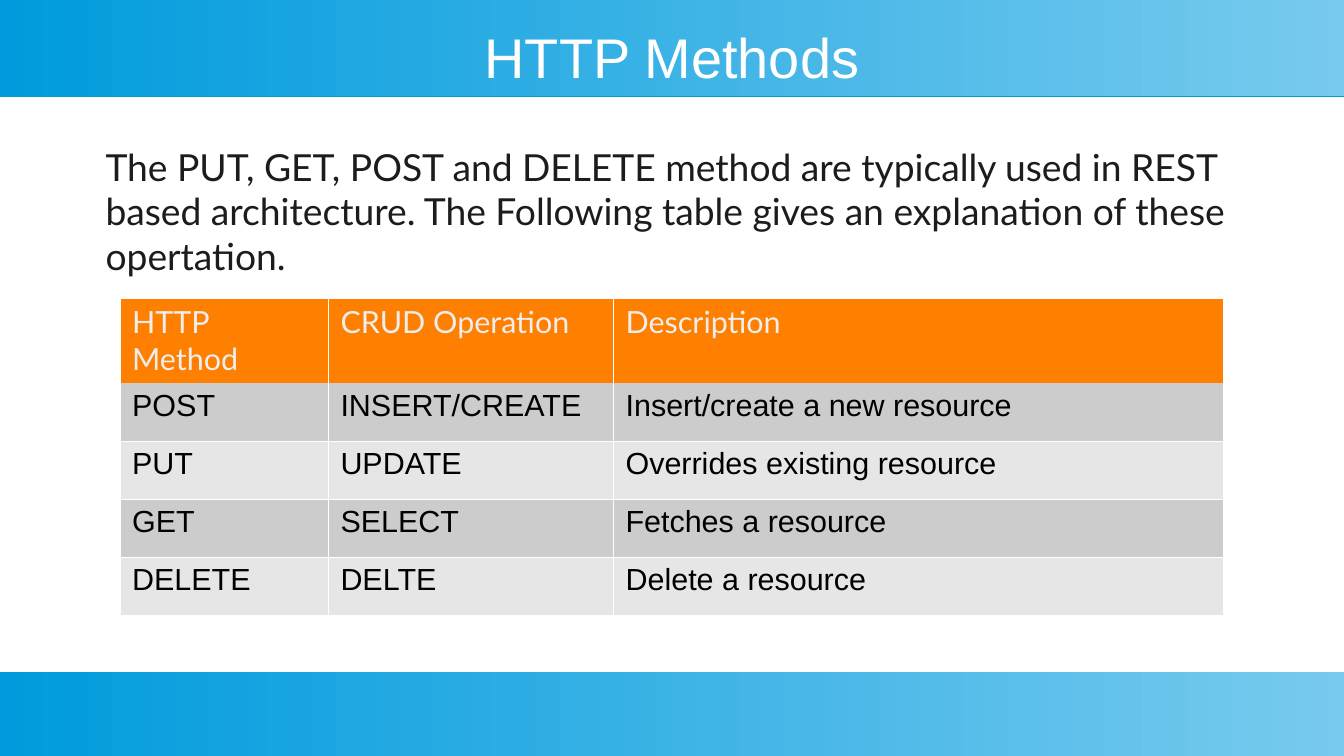
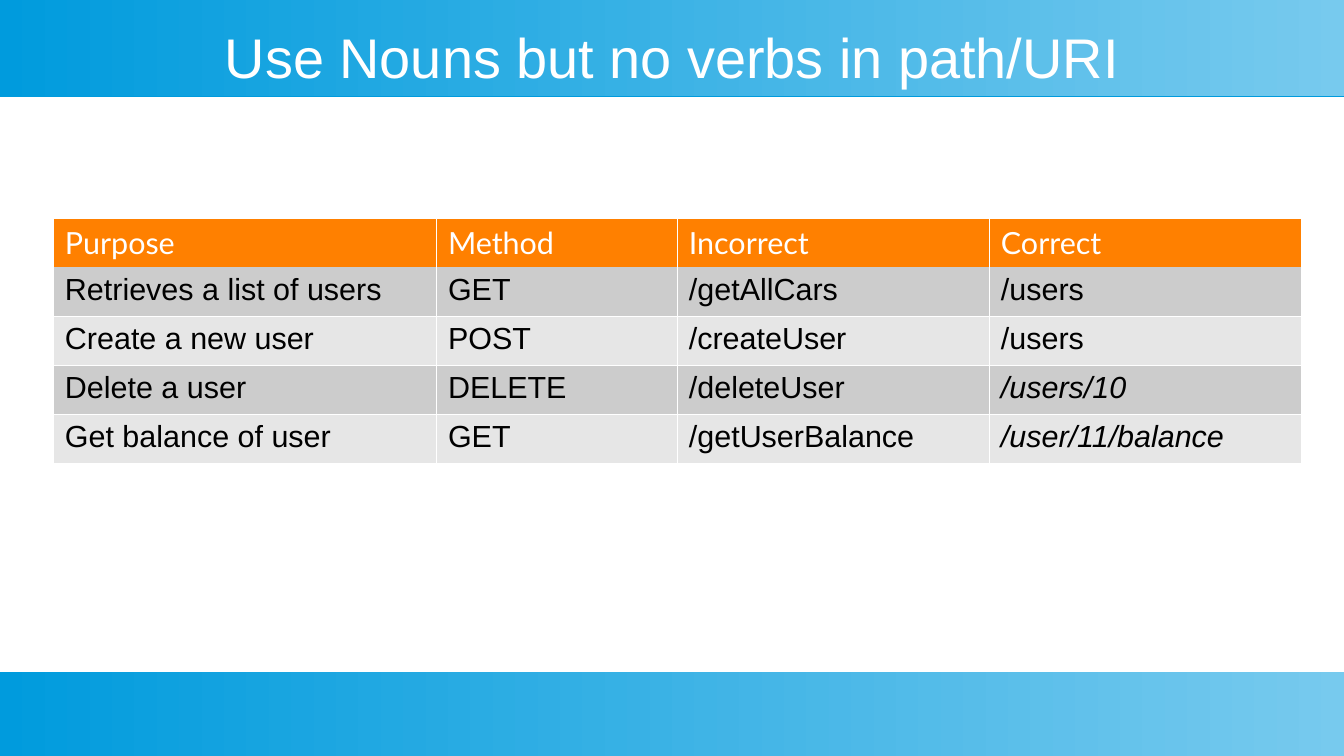
from lxml import etree
from pptx import Presentation
from pptx.dml.color import RGBColor
from pptx.enum.shapes import MSO_SHAPE, PP_PLACEHOLDER
from pptx.enum.text import MSO_ANCHOR, MSO_AUTO_SIZE, PP_ALIGN
from pptx.oxml.ns import qn
from pptx.util import Cm, Pt

RECT = MSO_SHAPE.RECTANGLE
TITLE, BODY = PP_PLACEHOLDER.TITLE, PP_PLACEHOLDER.BODY
MIDDLE, TOP = MSO_ANCHOR.MIDDLE, MSO_ANCHOR.TOP
CENTER, LEFT = PP_ALIGN.CENTER, PP_ALIGN.LEFT
FIXED = MSO_AUTO_SIZE.NONE

COLORS = {
    "deep": "009BDD", "sky": "77CAEE", "white": "FFFFFF", "pale": "EEEEEE",
    "ink": "1C1C1C", "black": "000000", "orange": "FF8000",
    "dark": "CCCCCC", "light": "E6E6E6",
}
WIDE, HIGH = 28, 15.75
SLIDES = [
    {
        "title": "HTTP Methods",
        "body": "The PUT, GET, POST and DELETE method are typically used in REST "
                "based architecture. The Following table gives an explanation of "
                "these opertation.",
        "at": (2.5, 6.2), "cols": [4.34, 5.94, 12.7],
        "head": 1.77, "row": 1.21, "color": "pale",
        "cells": [
            ["HTTP Method", "CRUD Operation", "Description"],
            ["POST", "INSERT/CREATE", "Insert/create a new resource"],
            ["PUT", "UPDATE", "Overrides existing resource"],
            ["GET", "SELECT", "Fetches a resource"],
            ["DELETE", "DELTE", "Delete a resource"],
        ],
    },
    {
        "title": "Use Nouns but no verbs in path/URI",
        "body": None,
        "at": (1.1, 4.55), "cols": [7.98, 5.02, 6.5, 6.5],
        "head": 1, "row": 1.02, "color": "white",
        "cells": [
            ["Purpose", "Method", "Incorrect", "Correct"],
            ["Retrieves a list of users", "GET", "/getAllCars", "/users"],
            ["Create a new user", "POST", "/createUser", "/users"],
            ["Delete a user", "DELETE", "/deleteUser", "/users/10"],
            ["Get balance of user", "GET", "/getUserBalance", "/user/11/balance"],
        ],
    },
]


def tint(name):
    return RGBColor.from_string(COLORS[name])


def write(frame, text, size=18, font="Arial", color="black", align=LEFT,
          italic=False):
    """Fill a text frame with one formatted paragraph and return it."""
    para = frame.paragraphs[0]
    para.alignment = align
    run = para.add_run()
    run.text = text
    run.font.size = Pt(size)
    run.font.name = font
    run.font.bold = False
    run.font.italic = italic
    run.font.color.rgb = tint(color)
    return para


prs = Presentation()
prs.slide_width, prs.slide_height = Cm(WIDE), Cm(HIGH)
master = prs.slide_master

# Shared places of title and body
for kind, top, high, anchor in [(TITLE, 0.5, 1.32, MIDDLE), (BODY, 3, 10, TOP)]:
    holder = master.placeholders.get(kind)
    holder.left, holder.top = Cm(1), Cm(top)
    holder.width, holder.height = Cm(WIDE - 2), Cm(high)
    frame = holder.text_frame
    frame.margin_left = frame.margin_right = 0
    frame.margin_top = frame.margin_bottom = 0
    frame.vertical_anchor = anchor
    frame.auto_size = FIXED

for number, plan in enumerate(SLIDES):
    layout = prs.slide_layouts[1 if plan["body"] else 5]
    slide = prs.slides.add_slide(layout)

    # Bands are drawn once, then moved behind everything on the master
    if number == 0:
        for top, high in [(0, 2), (14, HIGH - 14)]:
            band = slide.shapes.add_shape(RECT, 0, Cm(top), Cm(WIDE), Cm(high))
            band.fill.gradient()
            band.fill.gradient_angle = 0
            for stop, name in zip(band.fill.gradient_stops, ["deep", "sky"]):
                stop.color.rgb = tint(name)
                stop.position = 0 if name == "deep" else 1
            band.line.fill.background()
            band.shadow.inherit = False
            effects = band.element.spPr.find(qn("a:effectLst"))
            shade = etree.SubElement(effects, qn("a:outerShdw"), blurRad="0",
                                     dist=str(Pt(0.9)), dir="5400000")
            etree.SubElement(shade, qn("a:srgbClr"), val=COLORS["deep"])
            master.shapes.element.insert(2, band.element)

    write(slide.shapes.title.text_frame, plan["title"], size=33, color="white",
          align=CENTER)
    if plan["body"]:
        para = write(slide.placeholders[1].text_frame, plan["body"], size=22,
                     font="Lato", color="ink")
        para.space_before = Pt(9.7)
        props = para._p.get_or_add_pPr()
        props.set("marL", str(Cm(1.2)))
        props.set("indent", "0")
        etree.SubElement(props, qn("a:buNone"))

    cells, cols = plan["cells"], plan["cols"]
    highs = [plan["head"]] + [plan["row"]] * (len(cells) - 1)
    left, top = plan["at"]
    table = slide.shapes.add_table(len(cells), len(cols), Cm(left), Cm(top),
                                   Cm(sum(cols)), Cm(sum(highs))).table
    for col, wide in zip(table.columns, cols):
        col.width = Cm(wide)
    for r, (row, high) in enumerate(zip(table.rows, highs)):
        row.height = Cm(high)
        for cell, text in zip(row.cells, cells[r]):
            # White hairlines, except between the header and the first row
            props = cell._tc.get_or_add_tcPr()
            for side in "LRTB":
                line = etree.SubElement(props, qn("a:ln" + side), w=str(Pt(0.06)))
                if (r, side) in [(0, "B"), (1, "T")]:
                    etree.SubElement(line, qn("a:noFill"))
                else:
                    solid = etree.SubElement(line, qn("a:solidFill"))
                    etree.SubElement(solid, qn("a:srgbClr"), val=COLORS["white"])
            cell.fill.solid()
            if r == 0:
                cell.fill.fore_color.rgb = tint("orange")
                write(cell.text_frame, text, font="Lato", color=plan["color"])
            else:
                cell.fill.fore_color.rgb = tint("dark" if r % 2 else "light")
                write(cell.text_frame, text, italic=text.count("/") > 1)

prs.save("out.pptx")
